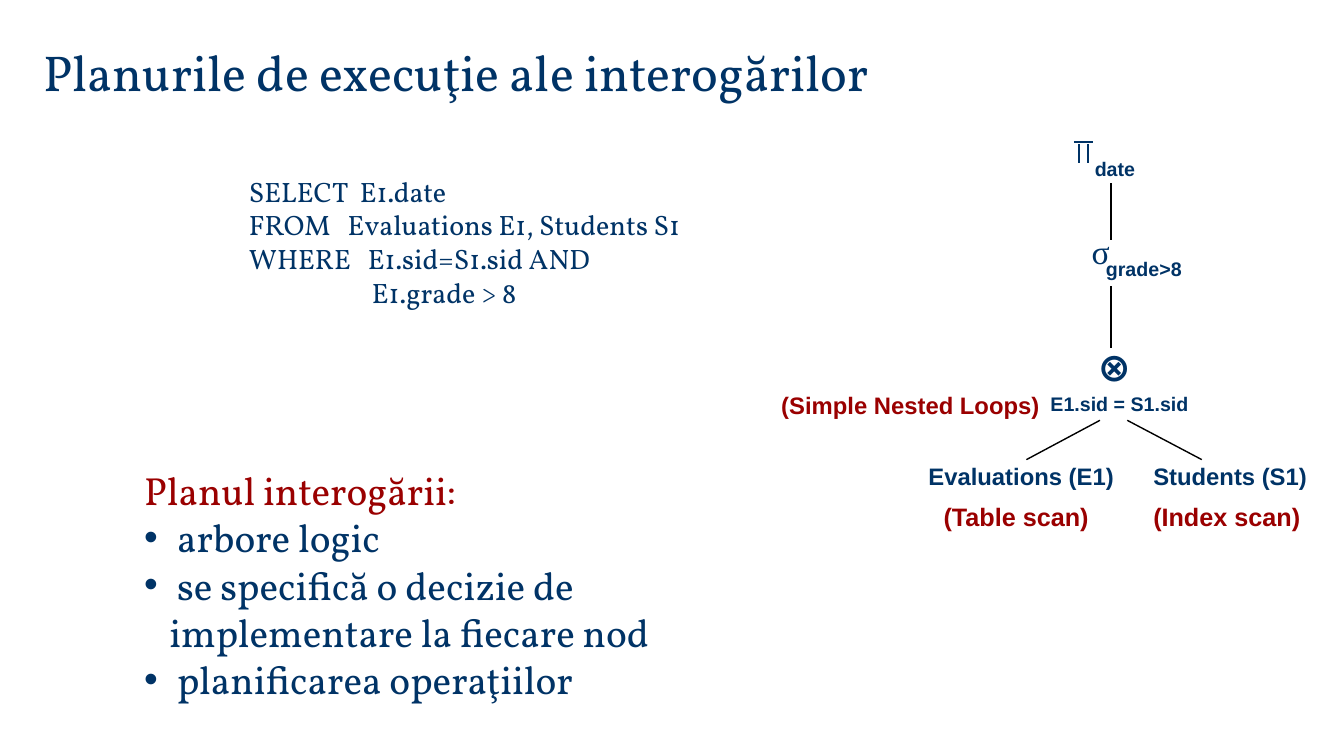
from dataclasses import dataclass

from pptx import Presentation
from pptx import util as u
from pptx.dml.color import RGBColor
from pptx.enum import shapes, text
from pptx.oxml.ns import qn
from lxml import etree

PX = 9144  # 100 px to the inch


@dataclass(frozen=True)
class Theme:
    navy: str = "003366"
    red: str = "9A0000"
    black: str = "000000"
    serif: str = "Vollkorn"
    sans: str = "Arial"
    symbol: str = "Times New Roman"
    title: int = 36
    body: int = 28
    sigma: int = 24
    query: int = 20
    scan: int = 18
    node: int = 17
    condition: int = 14
    line: int = 1


THEME = Theme()


def px(value):
    return u.Emu(value * PX)


def apply_format(target, values):
    for name, value in values.items():
        setattr(target, name, value)


def font_format(size, color=THEME.navy, name=THEME.serif, bold=False):
    return {"size": size, "color": color, "name": name, "bold": bold}


def place(shape, left, top, width, height):
    box = {"left": left, "top": top, "width": width, "height": height}
    apply_format(shape, {name: px(value) for name, value in box.items()})


def write(paragraph, content, style):
    run = paragraph.add_run()
    run.text = content
    apply_format(run.font, {"size": u.Pt(style["size"]), "name": style["name"],
                            "bold": style["bold"]})
    run.font.color.rgb = RGBColor.from_string(style["color"])
    apply_format(paragraph, {"alignment": text.PP_ALIGN.LEFT,
                             "space_before": u.Pt(0)})


def paragraphs_for(frame, count):
    for _ in range(count - 1):
        frame.add_paragraph()
    return frame.paragraphs


def set_indent(paragraph, margin, first_line=0):
    properties = paragraph._p.get_or_add_pPr()
    properties.set("marL", str(px(margin)))
    properties.set("indent", str(px(first_line)))


def add_bullet(paragraph):
    properties = paragraph._p.get_or_add_pPr()
    etree.SubElement(properties, qn("a:buFont"), typeface=THEME.sans)
    etree.SubElement(properties, qn("a:buChar"), char="•")


def add_tab_stop(paragraph, position):
    stops = etree.SubElement(paragraph._p.get_or_add_pPr(), qn("a:tabLst"))
    etree.SubElement(stops, qn("a:tab"), pos=str(px(position)), algn="l")


def add_text_box(slide, box):
    shape = slide.shapes.add_textbox(*map(px, box))
    apply_format(shape.text_frame, {
        "word_wrap": False, "auto_size": text.MSO_AUTO_SIZE.SHAPE_TO_FIT_TEXT})
    return shape.text_frame


def add_label(slide, content, box, style):
    write(add_text_box(slide, box).paragraphs[0], content, style)


def add_line(slide, start, end, color):
    line = slide.shapes.add_connector(
        shapes.MSO_CONNECTOR.STRAIGHT, *map(px, start + end))
    line.line.color.rgb = RGBColor.from_string(color)
    line.line.width = u.Pt(THEME.line)
    etree.SubElement(line._element.spPr, qn("a:effectLst"))


def fill_title(slide):
    title = slide.shapes.title
    place(title, 33, 35, 1119, 71)
    title.text_frame.vertical_anchor = text.MSO_ANCHOR.BOTTOM
    write(title.text_frame.paragraphs[0],
          "Planurile de execuţie ale interogărilor", font_format(THEME.title))


def fill_plan_list(slide):
    body = slide.placeholders[1]
    place(body, 133, 458, 629, 292)
    apply_format(body.text_frame, {"auto_size": text.MSO_AUTO_SIZE.NONE,
                                   "vertical_anchor": text.MSO_ANCHOR.TOP})
    items = (" arbore logic",
             " se specifică o decizie de implementare la fiecare nod",
             " planificarea operaţiilor")
    heading, *bullets = paragraphs_for(body.text_frame, len(items) + 1)
    write(heading, "Planul interogării:", font_format(THEME.body, THEME.red))
    set_indent(heading, 25, -25)
    for paragraph, item in zip(bullets, items):
        write(paragraph, item, font_format(THEME.body))
        set_indent(paragraph, 25, -25)
        add_bullet(paragraph)


def add_query(slide):
    clauses = (("SELECT\tE1.date", 110),
               ("FROM\tEvaluations E1, Students S1", 98),
               ("WHERE\tE1.sid=S1.sid AND", 118))
    frame = add_text_box(slide, (237, 168, 468, 144))
    *lines, last = paragraphs_for(frame, len(clauses) + 1)
    for paragraph, (clause, stop) in zip(lines, clauses):
        write(paragraph, clause, font_format(THEME.query))
        add_tab_stop(paragraph, stop)
    write(last, "E1.grade > 8", font_format(THEME.query))
    set_indent(last, 122)


def add_projection_sign(slide):
    """Draw the capital pi as a bar on two legs."""
    for x in (1070, 1079):
        add_line(slide, (x, 143), (x, 162), THEME.navy)
    add_line(slide, (1065, 141), (1084, 141), THEME.navy)


def add_plan_tree(slide):
    add_projection_sign(slide)
    for start, end in (((1102, 182), (1102, 238)),
                       ((1102, 284), (1102, 345)),
                       ((1091, 417), (1018, 456)),
                       ((1118, 417), (1192, 456))):
        add_line(slide, start, end, THEME.black)

    condition = font_format(THEME.condition, name=THEME.sans, bold=True)
    relation = font_format(THEME.node, name=THEME.sans, bold=True)
    method = font_format(THEME.node, THEME.red, THEME.sans, True)
    scan = font_format(THEME.scan, THEME.red, THEME.sans, True)
    for content, box, style in (
            ("date", (1076, 151, 60, 34), condition),
            ("σ", (1073, 224, 40, 50),
             font_format(THEME.sigma, name=THEME.symbol)),
            ("grade>8", (1087, 250, 96, 34), condition),
            ("⊗", (1079, 335, 50, 57), font_format(THEME.body, bold=True)),
            ("E1.sid = S1.sid", (1032, 384, 158, 34), condition),
            ("(Simple Nested Loops)", (765, 383, 279, 39), method),
            ("Evaluations (E1)", (911, 453, 206, 39), relation),
            ("Students (S1)", (1134, 453, 174, 39), relation),
            ("(Table scan)", (926, 492, 166, 40), scan),
            ("(Index scan)", (1134, 492, 166, 40), scan)):
        add_label(slide, content, box, style)


def main():
    presentation = Presentation()
    apply_format(presentation, {"slide_width": px(1333),
                                "slide_height": px(750)})
    slide = presentation.slides.add_slide(presentation.slide_layouts[0])
    fill_title(slide)
    fill_plan_list(slide)
    add_query(slide)
    add_plan_tree(slide)
    presentation.save("out.pptx")


if __name__ == "__main__":
    main()
